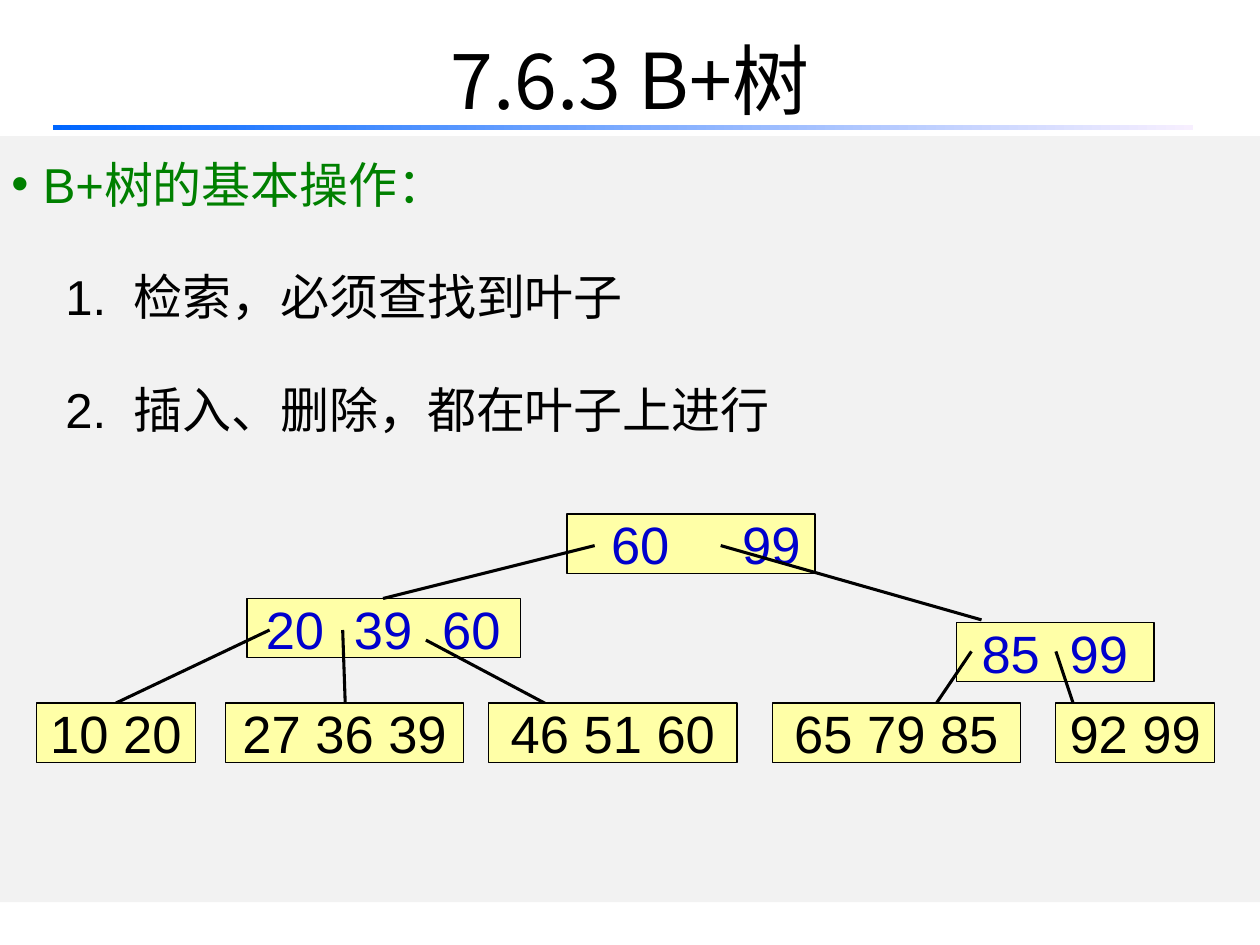
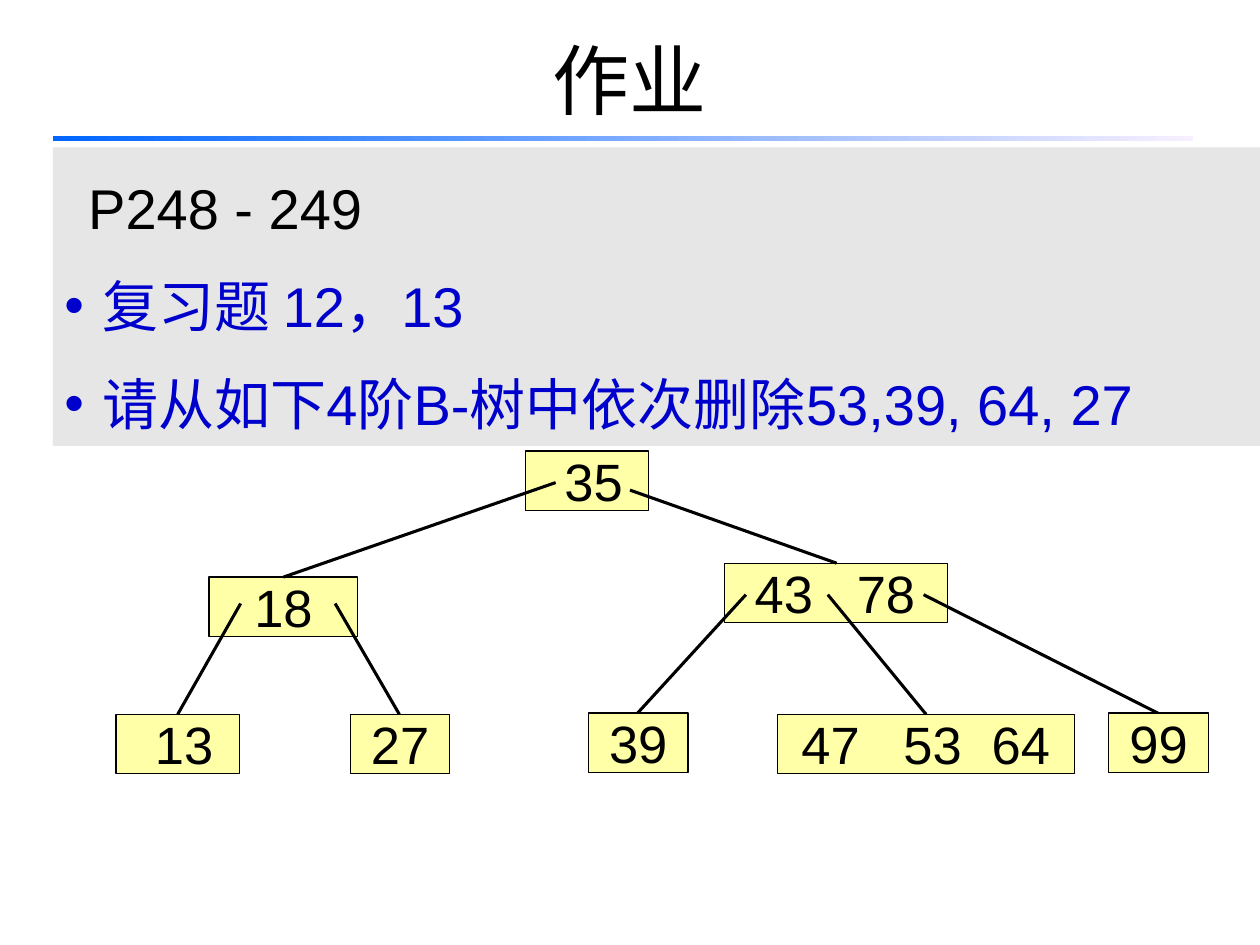
"""Build two slides on B+ tree operations and homework."""
from dataclasses import dataclass

from lxml import etree
from pptx import Presentation
from pptx.dml.color import RGBColor
from pptx.enum.shapes import MSO_CONNECTOR, MSO_SHAPE
from pptx.enum.text import MSO_ANCHOR, PP_ALIGN
from pptx.oxml.ns import qn
from pptx.util import Pt

RECT = MSO_SHAPE.RECTANGLE
STRAIGHT = MSO_CONNECTOR.STRAIGHT
MIDDLE, TOP = MSO_ANCHOR.MIDDLE, MSO_ANCHOR.TOP
CENTER, LEFT = PP_ALIGN.CENTER, PP_ALIGN.LEFT

SCALE = 9144
WIDTH, HEIGHT = 1000, 750
NODE_H = 47
INSET = 9

BLACK = RGBColor(0x00, 0x00, 0x00)
BLUE = RGBColor(0x00, 0x00, 0xCC)
GREEN = RGBColor(0x00, 0x80, 0x00)
CREAM = RGBColor(0xFF, 0xFF, 0xA7)
PALE = RGBColor(0xF2, 0xF2, 0xF2)
GREY = RGBColor(0xE6, 0xE6, 0xE6)
SKY = RGBColor(0x00, 0x66, 0xFF)
LILAC = RGBColor(0xF7, 0xEF, 0xFF)

LATIN = "Arial"
HAN = "Noto Sans CJK SC"


@dataclass(frozen=True)
class Box:
    x: int
    y: int
    w: int
    h: int


@dataclass(frozen=True)
class Node:
    x: int
    y: int
    w: int
    keys: str
    color: RGBColor = BLACK
    stops: tuple[int, ...] = ()


@dataclass(frozen=True)
class Link:
    x1: int
    y1: int
    x2: int
    y2: int


@dataclass(frozen=True)
class Item:
    text: str
    color: RGBColor
    margin: int
    hang: int = 0
    bullet: bool = False


@dataclass(frozen=True)
class Panel:
    box: Box
    fill: RGBColor
    size: int
    pitch: float
    gap: int
    items: tuple[Item, ...]


@dataclass(frozen=True)
class Page:
    title: str
    rule: int
    panel: Panel
    inner: tuple[Node, ...]
    links: tuple[Link, ...]
    leaves: tuple[Node, ...]


PAGES = (
    Page(
        "7.6.3 B+树", 99,
        Panel(Box(0, 108, 1000, 608), PALE, 28, 1.2, 24, (
            Item("B+树的基本操作：", GREEN, 25, 25, True),
            Item("1.\t检索，必须查找到叶子", BLACK, 97, 54),
            Item("2.\t插入、删除，都在叶子上进行", BLACK, 97, 54),
        )),
        (
            Node(450, 408, 197, "60 99", BLUE, (35, 139)),
            Node(759, 494, 157, "85 99", BLUE, (20, 90)),
            Node(196, 475, 217, "20 39 60", BLUE, (15, 85, 155)),
        ),
        (
            Link(572, 433, 779, 492), Link(472, 433, 304, 475),
            Link(771, 517, 725, 585), Link(838, 517, 863, 592),
            Link(214, 500, 92, 558), Link(338, 508, 485, 586),
            Link(272, 500, 274, 558),
        ),
        (
            Node(29, 558, 126, "10 20"), Node(179, 558, 189, "27 36 39"),
            Node(388, 558, 197, "46 51 60"), Node(613, 558, 197, "65 79 85"),
            Node(838, 558, 126, "92 99"),
        ),
    ),
    Page(
        "作业", 108,
        Panel(Box(42, 117, 958, 237), GREY, 32, 1.3, 6, (
            Item("P248 - 249", BLACK, 19),
            Item("复习题 12，13", BLUE, 30, 30, True),
            Item("请从如下4阶B-树中依次删除53,39, 64, 27", BLUE, 30, 30, True),
        )),
        (
            Node(417, 358, 98, "35", stops=(31,)),
            Node(166, 458, 118, "18"),
            Node(575, 447, 177, "43 78", stops=(24, 105)),
        ),
        (
            Link(441, 383, 225, 458), Link(500, 389, 664, 447),
            Link(191, 479, 141, 567), Link(266, 479, 317, 567),
            Link(592, 472, 506, 566), Link(657, 472, 735, 567),
            Link(733, 472, 919, 566),
        ),
        (
            Node(92, 567, 98, "13", stops=(31,)), Node(278, 567, 79, "27"),
            Node(467, 566, 79, "39"),
            Node(617, 567, 236, "47 53 64", stops=(19, 100, 170)),
            Node(880, 566, 79, "99"),
        ),
    ),
)


def px(num: int) -> int:
    return num * SCALE


def add_run(para, text: str, size: int, color: RGBColor, face: str = LATIN) -> None:
    run = para.add_run()
    run.text = text
    run.font.size = Pt(size)
    run.font.color.rgb = color
    run.font.name = face
    latin = run.font._element.find(qn("a:latin"))
    latin.addnext(latin.makeelement(qn("a:ea"), {"typeface": HAN}))


def set_frame(shape, anchor, side: int = 0, top: int = 0):
    frame = shape.text_frame
    frame.word_wrap = True
    frame.vertical_anchor = anchor
    frame.margin_left = frame.margin_right = px(side)
    frame.margin_top = frame.margin_bottom = px(top)
    return frame


def add_rect(slide, box: Box):
    shape = slide.shapes.add_shape(RECT, px(box.x), px(box.y), px(box.w), px(box.h))
    shape.shadow.inherit = False
    shape.line.fill.background()
    return shape


def add_title(slide, text: str, rule: int) -> None:
    label = slide.shapes.add_textbox(px(50), 0, px(900), px(125))
    para = set_frame(label, MIDDLE).paragraphs[0]
    para.alignment = CENTER
    add_run(para, text, 44, BLACK, HAN)
    fill = add_rect(slide, Box(42, rule, 905, 4)).fill
    fill.gradient()
    fill.gradient_angle = 0
    for stop, color in zip(fill.gradient_stops, (SKY, LILAC)):
        stop.color.rgb = color


def add_panel(slide, panel: Panel) -> None:
    shape = add_rect(slide, panel.box)
    shape.fill.solid()
    shape.fill.fore_color.rgb = panel.fill
    frame = set_frame(shape, TOP, INSET, 5)
    for num, item in enumerate(panel.items):
        para = frame.add_paragraph() if num else frame.paragraphs[0]
        para.alignment = LEFT
        para.line_spacing = panel.pitch
        if num:
            para.space_before = Pt(panel.gap)
        props = para._p.get_or_add_pPr()
        props.set("marL", str(px(item.margin)))
        props.set("indent", str(-px(item.hang)))
        if item.bullet:
            etree.SubElement(props, qn("a:buFont"), typeface=LATIN)
            etree.SubElement(props, qn("a:buChar"), char="•")
        add_run(para, item.text, panel.size, item.color)


def add_node(slide, node: Node) -> None:
    shape = add_rect(slide, Box(node.x, node.y, node.w, NODE_H))
    shape.fill.solid()
    shape.fill.fore_color.rgb = CREAM
    shape.line.color.rgb = BLACK
    shape.line.width = Pt(0.75)
    frame = set_frame(shape, MIDDLE)
    para = frame.paragraphs[0]
    para.alignment = LEFT if node.stops else CENTER
    text = node.keys
    if node.stops:
        first, *rest = node.stops
        frame.margin_left = px(first)
        text = text.replace(" ", "\t")
        if rest:
            tabs = etree.SubElement(para._p.get_or_add_pPr(), qn("a:tabLst"))
            for stop in rest:
                etree.SubElement(tabs, qn("a:tab"), pos=str(px(stop - first)), algn="l")
    add_run(para, text, 30, node.color)


def add_link(slide, link: Link) -> None:
    line = slide.shapes.add_connector(
        STRAIGHT, px(link.x1), px(link.y1), px(link.x2), px(link.y2))
    line.line.color.rgb = BLACK
    line.line.width = Pt(1.75)
    etree.SubElement(line._element.spPr, qn("a:effectLst"))


def add_page(deck, page: Page) -> None:
    slide = deck.slides.add_slide(deck.slide_layouts[6])
    add_title(slide, page.title, page.rule)
    add_panel(slide, page.panel)
    for node in page.inner:
        add_node(slide, node)
    for link in page.links:
        add_link(slide, link)
    for leaf in page.leaves:
        add_node(slide, leaf)


def main() -> None:
    deck = Presentation()
    deck.slide_width, deck.slide_height = px(WIDTH), px(HEIGHT)
    for page in PAGES:
        add_page(deck, page)
    deck.save("out.pptx")


if __name__ == "__main__":
    main()
